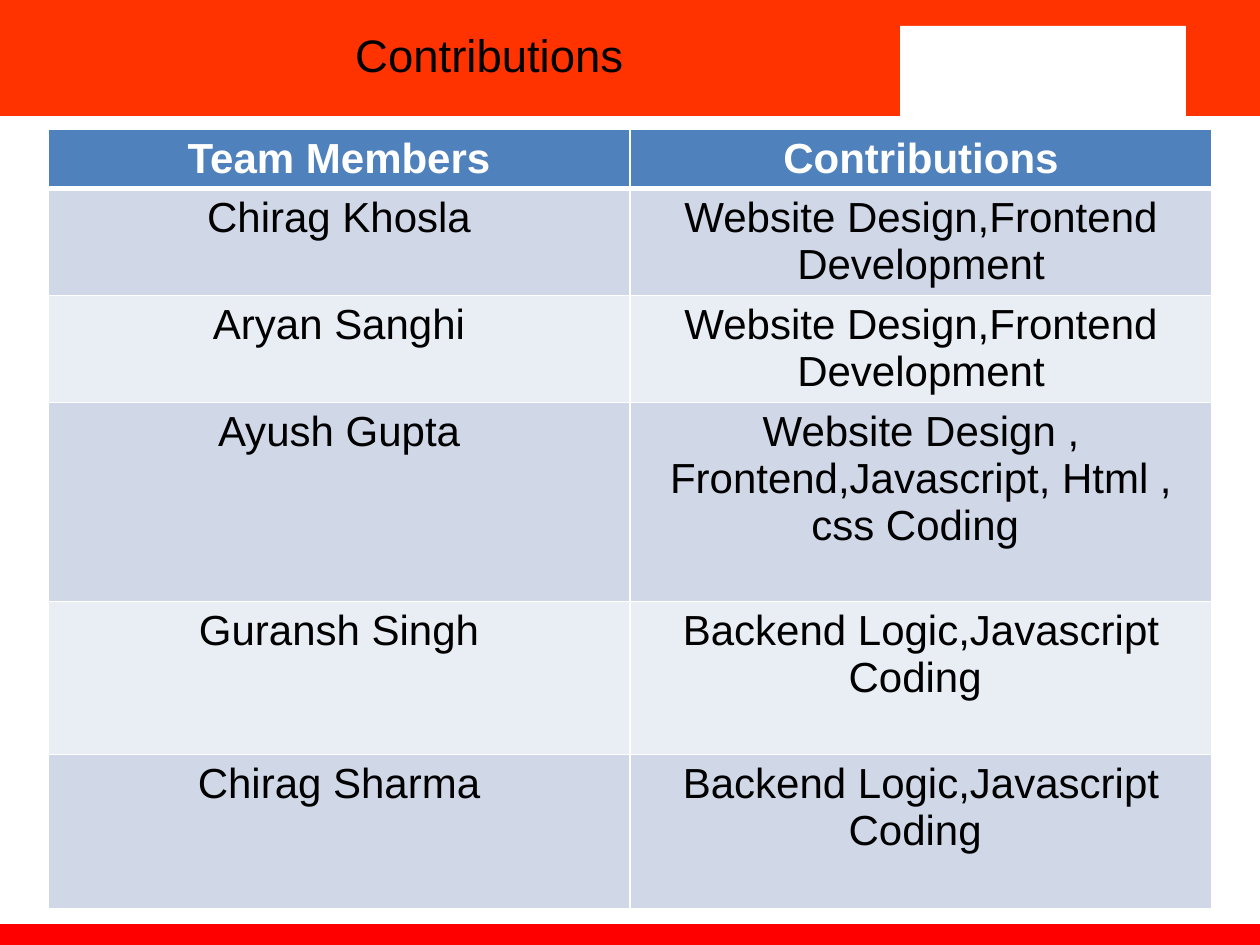
from dataclasses import dataclass

from lxml import etree
from pptx import Presentation
from pptx import util as u
from pptx.dml.color import RGBColor
from pptx.enum import shapes, text
from pptx.oxml.ns import qn

PX_PER_INCH = 126
TITLE_ONLY = 5


@dataclass(frozen=True)
class Theme:
    font: str = "Arial"
    title_size: int = 26
    table_size: int = 24
    ink: str = "000000"
    white: str = "FFFFFF"
    banner: str = "FF3300"
    footer: str = "FF0000"
    header: str = "4F81BD"
    bands: tuple = ("D0D8E8", "E9EDF4")


THEME = Theme()

HEADINGS = ("Team Members", "Contributions")
MEMBERS = (
    ("Chirag Khosla", "Website Design,Frontend Development"),
    ("Aryan Sanghi", "Website Design,Frontend Development"),
    ("Ayush Gupta", "Website Design , Frontend,Javascript, Html , css Coding "),
    ("Guransh Singh", "Backend Logic,Javascript Coding "),
    ("Chirag Sharma", "Backend Logic,Javascript Coding "),
)
ROW_HEIGHTS = (58, 107, 107, 199, 153, 154)
COLUMN_WIDTH = 582


def px(length):
    return u.Emu(round(length * u.Inches(1) / PX_PER_INCH))


def rgb(color):
    return RGBColor.from_string(color)


def write(frame, wording, *, size, color=THEME.ink, bold=False):
    """Put one centred paragraph into a text frame."""
    frame.word_wrap = True
    paragraph = frame.paragraphs[0]
    paragraph.alignment = text.PP_ALIGN.CENTER
    run = paragraph.add_run()
    run.text = wording
    run.font.name = THEME.font
    run.font.size = u.Pt(size)
    run.font.bold = bold
    run.font.color.rgb = rgb(color)


def add_block(slide, left, top, width, height, color):
    block = slide.shapes.add_shape(
        shapes.MSO_SHAPE.RECTANGLE, px(left), px(top), px(width), px(height))
    block.shadow.inherit = False
    block.fill.solid()
    block.fill.fore_color.rgb = rgb(color)
    block.line.fill.background()


def place_title(slide, wording):
    """Position the title placeholder and bring it in front of the banner."""
    title = slide.shapes.title
    title.left, title.top, title.width, title.height = map(px, (101, 18, 777, 73))
    title.text_frame.vertical_anchor = text.MSO_ANCHOR.MIDDLE
    write(title.text_frame, wording, size=THEME.title_size)
    slide.shapes._spTree.append(title._element)


def set_borders(cell, bottom_width):
    """Draw white cell borders; they must precede the fill in the XML."""
    properties = cell._tc.get_or_add_tcPr()
    widths = {"a:lnL": 1, "a:lnR": 1, "a:lnT": 1, "a:lnB": bottom_width}
    for position, (tag, width) in enumerate(widths.items()):
        border = etree.Element(qn(tag), w=str(u.Pt(width)))
        fill = etree.SubElement(border, qn("a:solidFill"))
        etree.SubElement(fill, qn("a:srgbClr"), val=THEME.white)
        properties.insert(position, border)


def fill_row(row, wordings, fill, *, bottom_width=1, **text_format):
    for cell, wording in zip(row.cells, wordings):
        cell.fill.solid()
        cell.fill.fore_color.rgb = rgb(fill)
        set_borders(cell, bottom_width)
        write(cell.text_frame, wording, size=THEME.table_size, **text_format)


def add_contributions(slide):
    table = slide.shapes.add_table(
        len(ROW_HEIGHTS), len(HEADINGS), px(48), px(129),
        px(COLUMN_WIDTH * len(HEADINGS)), px(sum(ROW_HEIGHTS))).table
    table.horz_banding = False
    for column in table.columns:
        column.width = px(COLUMN_WIDTH)
    header, *member_rows = table.rows
    for row, height in zip(table.rows, ROW_HEIGHTS):
        row.height = px(height)
    fill_row(header, HEADINGS, THEME.header,
             bottom_width=3, color=THEME.white, bold=True)
    for index, (row, member) in enumerate(zip(member_rows, MEMBERS)):
        fill_row(row, member, THEME.bands[index % len(THEME.bands)])


def main():
    deck = Presentation()
    deck.slide_width, deck.slide_height = px(1260), px(945)
    slide = deck.slides.add_slide(deck.slide_layouts[TITLE_ONLY])
    add_block(slide, 0, 0, 1260, 116, THEME.banner)
    add_block(slide, 0, 924, 1260, 21, THEME.footer)
    add_block(slide, 900, 26, 286, 95, THEME.white)
    place_title(slide, "Contributions")
    add_contributions(slide)
    deck.save("out.pptx")


if __name__ == "__main__":
    main()
